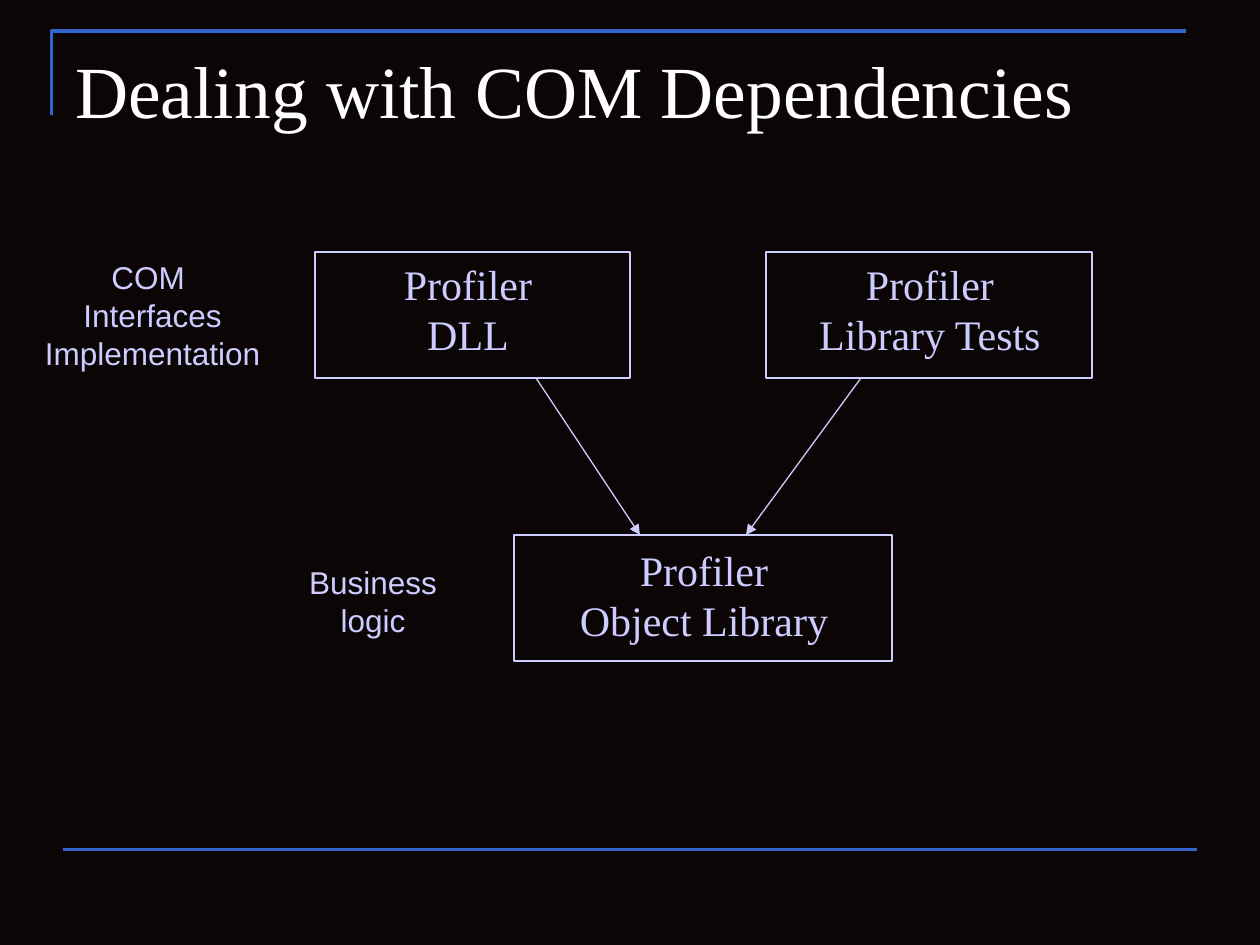
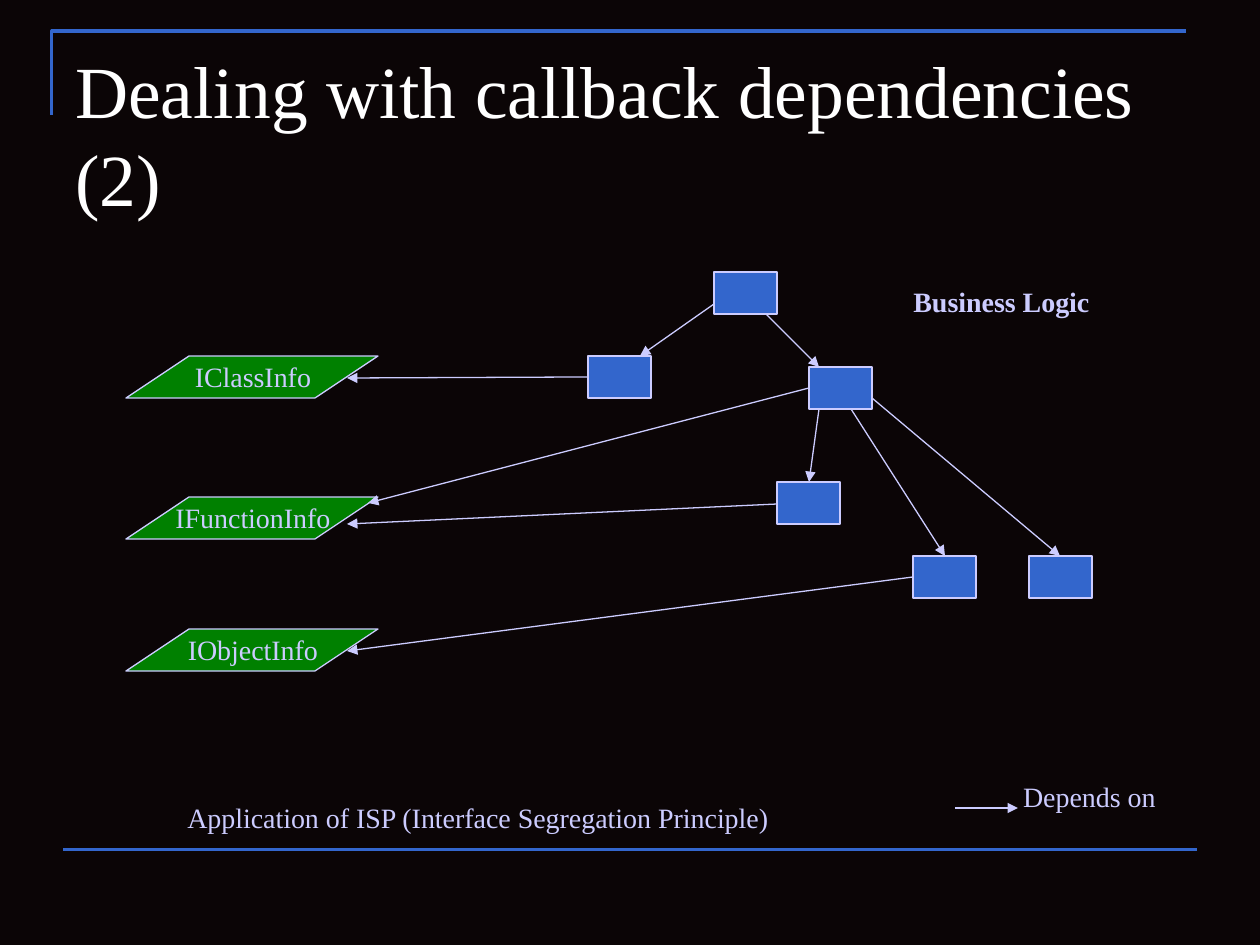
from dataclasses import dataclass

from pptx import Presentation
from pptx import util as u
from pptx.dml.color import RGBColor
from pptx.enum import shapes, text
from pptx.oxml.ns import qn
from lxml import etree


@dataclass(frozen=True)
class Theme:
    back: str = "0B0506"
    accent: str = "3366CC"
    pale: str = "CCCCFF"
    white: str = "FFFFFF"
    green: str = "008000"
    serif: str = "Times New Roman"
    sans: str = "Arial"
    title: int = 42
    module: int = 24
    note: int = 18
    label: int = 16
    leading: float = 1.2
    frame_line: float = 1.75
    thin_line: float = 0.75


T = Theme()
PX = 914400 / 126
WIDTH, HEIGHT = 1260, 945

TITLE_BOX = (63, 39, 1134, 157)
CORNER = [(52, 115), (52, 31), (1186, 31)]
FOOT_RULE = ((63, 850), (1197, 850))

COM_TITLE = "Dealing with COM Dependencies"
MODULES = [
    ((514, 535, 378, 126), (554, 538, 300, 113), ["Profiler", "Object Library"]),
    ((315, 252, 315, 126), (378, 252, 180, 113), ["Profiler", "DLL"]),
    ((766, 252, 326, 126), (790, 252, 280, 113), ["Profiler", "Library Tests"]),
]
MODULE_ARROWS = [((536, 378), (640, 535)), ((861, 378), (746, 535))]
NOTES = [
    ((12, 252, 281, 126), ["COM ", "Interfaces", "Implementation"]),
    ((283, 557, 180, 88), ["Business", "logic"]),
]

CALLBACK_TITLE = "Dealing with callback dependencies (2)"
NODE_SIZE = (63, 42)
NODES = [(714, 272), (588, 356), (777, 482), (913, 556), (809, 367), (1029, 556)]
INTERFACE_LEFT, INTERFACE_SIZE, INTERFACE_SLANT = 126, (252, 42), 1.5
INTERFACES = [("IClassInfo", 356), ("IFunctionInfo", 497), ("IObjectInfo", 629)]
NODE_ARROWS = [
    ((714, 304), (640, 356)),
    ((766, 314), (819, 367)),
    ((819, 409), (809, 482)),
    ((851, 409), (945, 556)),
    ((872, 398), (1060, 556)),
    ((809, 388), (368, 503)),
    ((588, 377), (347, 378)),
    ((777, 504), (347, 524)),
    ((913, 577), (347, 651)),
    ((955, 808), (1018, 808)),
]
CAPTIONS = [
    ((1000, 773, 179, 47), "Depends on", False),
    ((891, 278, 221, 47), "Business Logic", True),
    ((95, 794, 766, 47), "Application of ISP (Interface Segregation Principle)", False),
]


def px(*values):
    return [round(v * PX) for v in values]


def rgb(color):
    return RGBColor.from_string(color)


def set_line(shape, color, width):
    shape.line.color.rgb = rgb(color)
    shape.line.width = u.Pt(width)


def style_shape(sp, fill, color=T.pale, width=T.thin_line):
    sp.shadow.inherit = False
    if fill:
        sp.fill.solid()
        sp.fill.fore_color.rgb = rgb(fill)
    else:
        sp.fill.background()
    set_line(sp, color, width)


def add_box(slide, kind, box, fill=None):
    sp = slide.shapes.add_shape(kind, *px(*box))
    style_shape(sp, fill)
    return sp


def add_text(slide, box, lines, size, font=T.serif, color=T.pale, bold=False,
             align=text.PP_ALIGN.CENTER, wrap=False):
    tf = slide.shapes.add_textbox(*px(*box)).text_frame
    tf.word_wrap = wrap
    tf.text = "\n".join(lines)
    for p in tf.paragraphs:
        p.alignment = align
        p.line_spacing = u.Pt(size * T.leading)
        for r in p.runs:
            r.font.name = font
            r.font.size = u.Pt(size)
            r.font.bold = bold
            r.font.color.rgb = rgb(color)


def add_line(slide, start, end, color=T.pale, width=T.thin_line, arrow=True):
    c = slide.shapes.add_connector(shapes.MSO_CONNECTOR.STRAIGHT, *px(*start, *end))
    set_line(c, color, width)
    sp_pr = c._element.spPr
    if arrow:
        etree.SubElement(sp_pr.find(qn("a:ln")), qn("a:tailEnd"), type="triangle")
    etree.SubElement(sp_pr, qn("a:effectLst"))


def add_slide(prs, title):
    slide = prs.slides.add_slide(prs.slide_layouts[6])
    slide.background.fill.solid()
    slide.background.fill.fore_color.rgb = rgb(T.back)
    outline = slide.shapes.build_freeform(*CORNER[0], scale=PX)
    outline.add_line_segments(CORNER[1:], close=False)
    style_shape(outline.convert_to_shape(), None, T.accent, T.frame_line)
    add_line(slide, *FOOT_RULE, T.accent, T.frame_line, arrow=False)
    add_text(slide, TITLE_BOX, [title], T.title, color=T.white,
             align=text.PP_ALIGN.LEFT, wrap=True)
    return slide


def build_com(prs):
    slide = add_slide(prs, COM_TITLE)
    for box, label_box, lines in MODULES:
        add_box(slide, shapes.MSO_SHAPE.RECTANGLE, box)
        add_text(slide, label_box, lines, T.module)
    for start, end in MODULE_ARROWS:
        add_line(slide, start, end)
    for box, lines in NOTES:
        add_text(slide, box, lines, T.note, T.sans)


def build_callbacks(prs):
    slide = add_slide(prs, CALLBACK_TITLE)
    for corner in NODES:
        add_box(slide, shapes.MSO_SHAPE.RECTANGLE, corner + NODE_SIZE, T.accent)
    width, height = INTERFACE_SIZE
    for name, top in INTERFACES:
        sp = add_box(slide, shapes.MSO_SHAPE.PARALLELOGRAM,
                     (INTERFACE_LEFT, top, width, height), T.green)
        sp.adjustments[0] = INTERFACE_SLANT
        add_text(slide, (INTERFACE_LEFT + 1, top - 3, width, height + 5), [name], T.label)
    for start, end in NODE_ARROWS:
        add_line(slide, start, end)
    for box, caption, bold in CAPTIONS:
        add_text(slide, box, [caption], T.label, bold=bold)


def main():
    prs = Presentation()
    prs.slide_width, prs.slide_height = px(WIDTH, HEIGHT)
    build_com(prs)
    build_callbacks(prs)
    prs.save("out.pptx")


if __name__ == "__main__":
    main()
